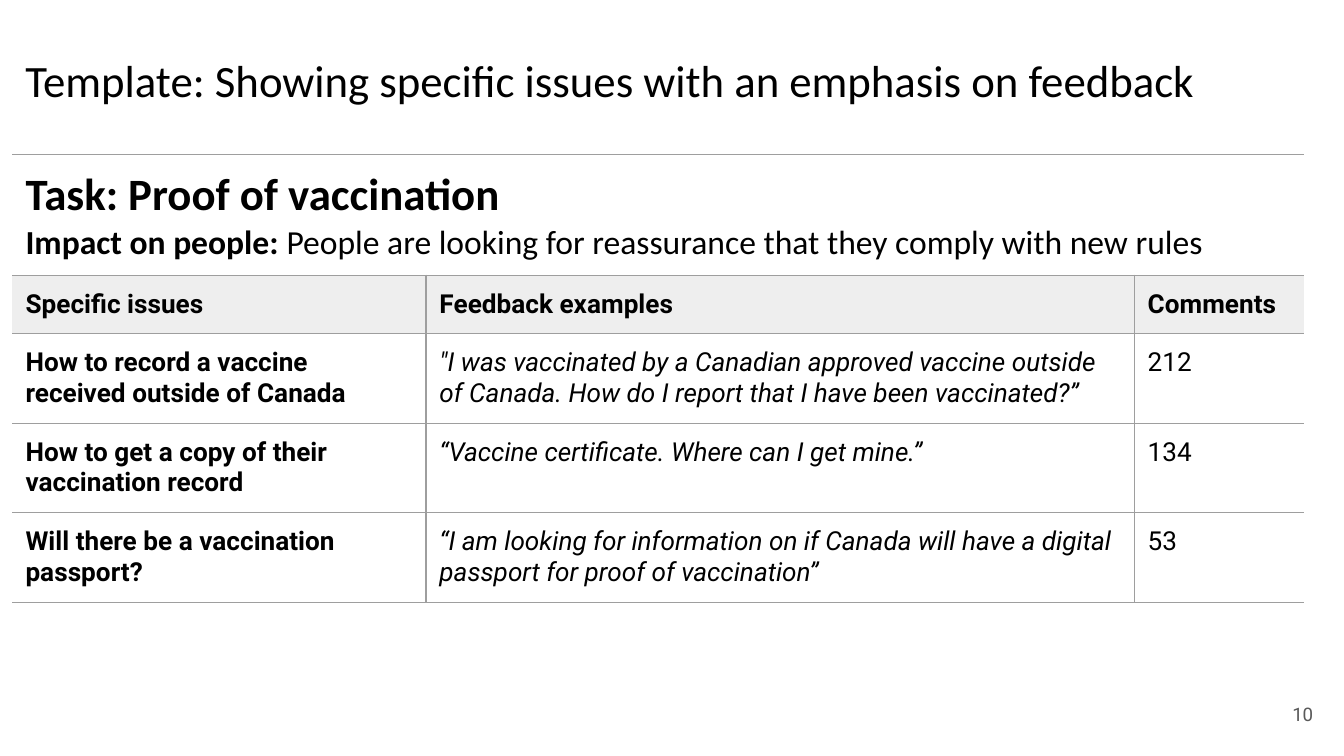
from dataclasses import dataclass

from lxml import etree
from pptx import Presentation
from pptx.dml.color import RGBColor
from pptx.enum import text
from pptx.oxml import ns
from pptx.util import Pt


@dataclass(frozen=True)
class Theme:
    heading_font: str = "Calibri"
    body_font: str = "Roboto"
    ink: str = "000000"
    muted: str = "595959"
    rule: str = "9E9E9E"
    header_fill: str = "EEEEEE"
    title_size: float = 24
    impact_size: float = 18
    body_size: float = 14
    number_size: float = 10
    rule_width: float = 0.75
    inset: float = 7.2


THEME = Theme()
COLUMN_WIDTHS = (221.76, 379.44, 90.72)
ROW_HEIGHTS = (18, 31, 43.2, 43.9, 43.9)
TASK = "Task: Proof of vaccination"
IMPACT_LABEL = "Impact on people: "
IMPACT = "People are looking for reassurance that they comply with new rules"
HEADERS = ("Specific issues", "Feedback examples", "Comments")
ISSUES = (
    ("How to record a vaccine received outside of Canada",
     "\"I was vaccinated by a Canadian approved vaccine outside of Canada. "
     "How do I report that I have been vaccinated?”",
     "212"),
    ("How to get a copy of their vaccination record",
     "“Vaccine certificate. Where can I get mine.”",
     "134"),
    ("Will there be a vaccination passport?",
     "“I am looking for information on if Canada will have a digital "
     "passport for proof of vaccination”",
     "53"),
)


def format_run(run, font, size, color=THEME.ink, bold=False, italic=False):
    run.font.name = font
    run.font.size = Pt(size)
    run.font.bold = bold
    run.font.italic = italic
    run.font.color.rgb = RGBColor.from_string(color)


def set_insets(target):
    for side in ("left", "top", "right", "bottom"):
        setattr(target, f"margin_{side}", Pt(THEME.inset))


def add_label(slide, box, words, font, size, color, alignment, anchor):
    shape = slide.shapes.add_textbox(*map(Pt, box))
    frame = shape.text_frame
    frame.word_wrap = True
    frame.vertical_anchor = anchor
    set_insets(frame)
    frame.text = words
    paragraph = frame.paragraphs[0]
    paragraph.alignment = alignment
    format_run(paragraph.runs[0], font, size, color)


def add_title(slide, box):
    add_label(slide, box, "Template: Showing specific issues with an emphasis on feedback",
              THEME.heading_font, THEME.title_size, THEME.ink,
              text.PP_ALIGN.LEFT, text.MSO_ANCHOR.TOP)


def add_page_number(slide, box):
    add_label(slide, box, "10", THEME.body_font, THEME.number_size, THEME.muted,
              text.PP_ALIGN.RIGHT, text.MSO_ANCHOR.MIDDLE)


def set_borders(cell, visible_sides):
    properties = cell._tc.get_or_add_tcPr()
    for index, side in enumerate("LRTB"):
        line = etree.Element(ns.qn(f"a:ln{side}"), w=str(Pt(THEME.rule_width)))
        if side in visible_sides:
            fill = etree.SubElement(line, ns.qn("a:solidFill"))
            etree.SubElement(fill, ns.qn("a:srgbClr"), val=THEME.rule)
        else:
            etree.SubElement(line, ns.qn("a:noFill"))
        properties.insert(index, line)


def style_cell(cell, row, column):
    set_insets(cell)
    if row == 1:
        cell.fill.solid()
        cell.fill.fore_color.rgb = RGBColor.from_string(THEME.header_fill)
    else:
        cell.fill.background()
    sides = "TB"
    if row > 0 and column > 0:
        sides += "L"
    if row > 0 and column < len(COLUMN_WIDTHS) - 1:
        sides += "R"
    set_borders(cell, sides)


def fill_task_cell(cell):
    paragraph = cell.text_frame.paragraphs[0]
    paragraph.text = f"{TASK}\v{IMPACT_LABEL}"
    paragraph.add_run().text = IMPACT
    task, label, impact = paragraph.runs
    format_run(task, THEME.heading_font, THEME.title_size, bold=True)
    format_run(label, THEME.heading_font, THEME.impact_size, bold=True)
    format_run(impact, THEME.heading_font, THEME.impact_size)


def add_issue_table(slide, left, top):
    shape = slide.shapes.add_table(
        len(ROW_HEIGHTS), len(COLUMN_WIDTHS), Pt(left), Pt(top),
        Pt(sum(COLUMN_WIDTHS)), Pt(sum(ROW_HEIGHTS)))
    table = shape.table
    table.first_row = False
    table.horz_banding = False
    for column, width in zip(table.columns, COLUMN_WIDTHS):
        column.width = Pt(width)
    for row, height in zip(table.rows, ROW_HEIGHTS):
        row.height = Pt(height)
    for row in range(len(ROW_HEIGHTS)):
        for column in range(len(COLUMN_WIDTHS)):
            style_cell(table.cell(row, column), row, column)
    table.cell(0, 0).merge(table.cell(0, len(COLUMN_WIDTHS) - 1))
    fill_task_cell(table.cell(0, 0))
    for row, entries in enumerate((HEADERS, *ISSUES), start=1):
        for column, words in enumerate(entries):
            frame = table.cell(row, column).text_frame
            frame.text = words
            format_run(frame.paragraphs[0].runs[0], THEME.body_font, THEME.body_size,
                       bold=row == 1 or column == 0,
                       italic=row > 1 and column == 1)


def main():
    presentation = Presentation()
    presentation.slide_width = Pt(720)
    presentation.slide_height = Pt(405)
    slide = presentation.slides.add_slide(presentation.slide_layouts[6])
    add_page_number(slide, (667.4, 367.2, 43.2, 31))
    add_issue_table(slide, 6.5, 82.6)
    add_title(slide, (6.5, 20.9, 703.4, 43.9))
    presentation.save("out.pptx")


if __name__ == "__main__":
    main()
